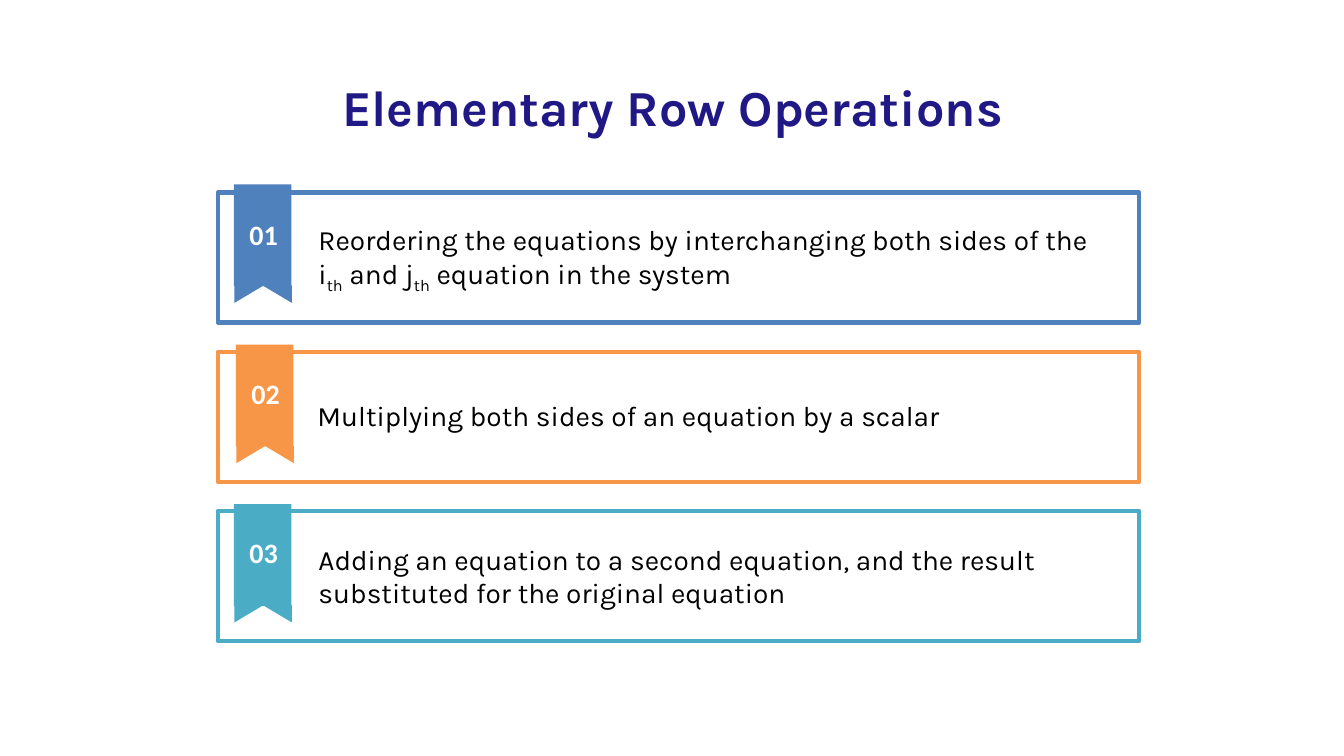
from dataclasses import dataclass

from pptx import Presentation
from pptx.dml.color import RGBColor
from pptx.enum.shapes import MSO_SHAPE
from pptx.enum.text import MSO_ANCHOR, MSO_AUTO_SIZE, PP_ALIGN
from pptx.util import Emu, Pt

PX = 9144  # EMU per px, 100 px to the inch
TITLE_ONLY = 5
COLOURS = {
    "navy": "201885",
    "blue": "4F81BD",
    "orange": "F79646",
    "teal": "4BACC6",
    "white": "FFFFFF",
    "black": "000000",
}
CARD_LEFT, CARD_TOP, CARD_WIDTH, CARD_HEIGHT = 216, 191, 914, 129
CARD_PITCH = 158
RIBBON_WIDTH, RIBBON_HEIGHT = 57, 101
TAIL_LENGTH, TAIL_TOP = 34, 72


@dataclass(frozen=True)
class Operation:
    number: str
    colour: str
    ribbon_left: int
    ribbon_rise: int
    text_left: int
    text_drop: int
    text_height: int
    pieces: tuple[str, ...]  # every second piece is a subscript


OPERATIONS = (
    Operation("01", "blue", 232, 8, 306, 25, 77,
              ("Reordering the equations by interchanging both sides of the i",
               "th", " and j", "th", " equation in the system")),
    Operation("02", "orange", 234, 7, 305, 41, 44,
              ("Multiplying both sides of an equation by a scalar",)),
    Operation("03", "teal", 232, 7, 306, 26, 77,
              ("Adding an equation to a second equation, and the result "
               "substituted for the original equation",)),
)


def px(*lengths: int) -> list[Emu]:
    return [Emu(length * PX) for length in lengths]


def rgb(colour: str) -> RGBColor:
    return RGBColor.from_string(COLOURS[colour])


def write(frame, *pieces: str, size: int = 20, font: str = "Karla",
          colour: str = "black", bold: bool = False,
          align: PP_ALIGN = PP_ALIGN.LEFT,
          anchor: MSO_ANCHOR = MSO_ANCHOR.TOP) -> None:
    frame.word_wrap = True
    frame.auto_size = MSO_AUTO_SIZE.SHAPE_TO_FIT_TEXT
    frame.vertical_anchor = anchor
    paragraph = frame.paragraphs[0]
    paragraph.alignment = align
    for index, piece in enumerate(pieces):
        run = paragraph.add_run()
        run.text = piece
        run.font.size = Pt(size)
        run.font.name = font
        run.font.bold = bold
        run.font.color.rgb = rgb(colour)
        if index % 2:
            run._r.get_or_add_rPr().set("baseline", "-25000")


def add_block(shapes, kind: MSO_SHAPE, box: tuple[int, int, int, int],
              fill: str, outline: str | None = None):
    block = shapes.add_shape(kind, *px(*box))
    block.shadow.inherit = False
    block.fill.solid()
    block.fill.fore_color.rgb = rgb(fill)
    if outline:
        block.line.color.rgb = rgb(outline)
        block.line.width = Pt(3)
    else:
        block.line.fill.background()
    return block


def add_ribbon(shapes, left: int, top: int, colour: str) -> None:
    ribbon = shapes.add_group_shape()
    tail_left = left + (RIBBON_WIDTH - TAIL_LENGTH) // 2 + 1
    tail = add_block(ribbon.shapes, MSO_SHAPE.CHEVRON,
                     (tail_left, top + TAIL_TOP, TAIL_LENGTH, RIBBON_WIDTH), colour)
    tail.rotation = 270
    add_block(ribbon.shapes, MSO_SHAPE.RECTANGLE,
              (left, top, RIBBON_WIDTH, RIBBON_HEIGHT), colour)


def add_operation(shapes, operation: Operation, top: int) -> None:
    add_block(shapes, MSO_SHAPE.RECTANGLE,
              (CARD_LEFT, top, CARD_WIDTH, CARD_HEIGHT), "white", operation.colour)
    add_ribbon(shapes, operation.ribbon_left, top - operation.ribbon_rise,
               operation.colour)
    number = shapes.add_textbox(*px(operation.ribbon_left + 1, top + 19,
                                    RIBBON_WIDTH, 44))
    write(number.text_frame, operation.number, font="Calibri", colour="white",
          bold=True, align=PP_ALIGN.CENTER, anchor=MSO_ANCHOR.MIDDLE)
    description = shapes.add_textbox(*px(operation.text_left, top + operation.text_drop,
                                         802, operation.text_height))
    write(description.text_frame, *operation.pieces)


def main() -> None:
    deck = Presentation()
    deck.slide_width, deck.slide_height = px(1333, 750)
    slide = deck.slides.add_slide(deck.slide_layouts[TITLE_ONLY])

    # Title
    title = slide.shapes.title
    title.left, title.top, title.width, title.height = px(117, 75, 1100, 61)
    frame = title.text_frame
    frame.margin_left = frame.margin_right = frame.margin_top = frame.margin_bottom = 0
    write(frame, "Elementary Row Operations", size=36, colour="navy", bold=True,
          align=PP_ALIGN.CENTER)

    # Numbered cards
    for row, operation in enumerate(OPERATIONS):
        add_operation(slide.shapes, operation, CARD_TOP + row * CARD_PITCH)

    deck.save("out.pptx")


if __name__ == "__main__":
    main()
